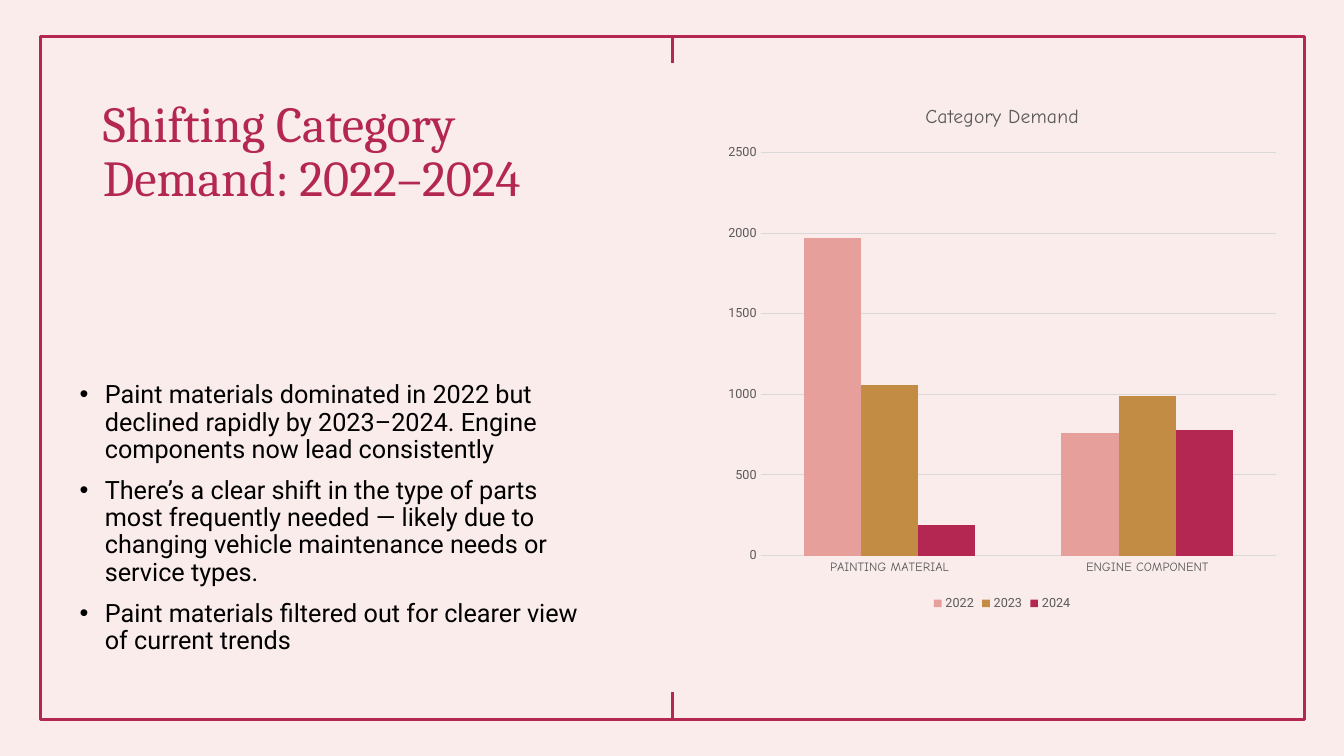
from dataclasses import dataclass

from lxml import etree
from pptx import Presentation
from pptx.chart.data import CategoryChartData
from pptx.dml.color import RGBColor
from pptx.enum.chart import XL_CHART_TYPE, XL_LEGEND_POSITION, XL_TICK_MARK
from pptx.enum.shapes import MSO_CONNECTOR, MSO_SHAPE
from pptx.enum.text import MSO_ANCHOR, MSO_AUTO_SIZE, PP_ALIGN
from pptx.oxml.ns import qn
from pptx.util import Inches, Pt

CLUSTERED = XL_CHART_TYPE.COLUMN_CLUSTERED
LEGEND_BOTTOM = XL_LEGEND_POSITION.BOTTOM
NO_TICKS = XL_TICK_MARK.NONE
STRAIGHT = MSO_CONNECTOR.STRAIGHT
RECTANGLE = MSO_SHAPE.RECTANGLE
TOP = MSO_ANCHOR.TOP
FIXED_SIZE = MSO_AUTO_SIZE.NONE
LEFT = PP_ALIGN.LEFT


@dataclass(frozen=True)
class Theme:
    background: str = "FAECEB"
    accent: str = "B32752"
    ink: str = "000000"
    muted: str = "595959"
    grid: str = "D9D9D9"
    series: tuple = ("E69F9A", "C38C44", "B32752")
    title_font: str = "Cambria"
    body_font: str = "Roboto"
    label_font: str = "Comic Neue"
    title_size: int = 36
    body_size: int = 18
    chart_title_size: int = 14
    chart_size: int = 10
    label_size: int = 9
    frame_weight: float = 2.25
    grid_weight: float = 0.75


THEME = Theme()

HEADLINE = "Shifting Category Demand: 2022–2024"
FINDINGS = (
    "Paint materials dominated in 2022 but declined rapidly by 2023–2024. "
    "Engine components now lead consistently",
    "There’s a clear shift in the type of parts most frequently needed — "
    "likely due to changing vehicle maintenance needs or service types.",
    "Paint materials filtered out for clearer view of current trends",
)
CATEGORIES = ("PAINTING MATERIAL", "ENGINE COMPONENT")
DEMAND = {"2022": (1970, 760), "2023": (1060, 990), "2024": (190, 780)}

FRAME_LEFT, FRAME_TOP, FRAME_WIDTH, FRAME_HEIGHT = 0.4, 0.36, 12.54, 6.78
NOTCH = 0.27


def rgb(code):
    return RGBColor.from_string(code)


def style_font(font, name, size, color):
    font.name = name
    font.size = Pt(size)
    font.color.rgb = rgb(color)
    font.bold = False


def style_line(line, color, weight):
    line.color.rgb = rgb(color)
    line.width = Pt(weight)


def add_frame(slide):
    frame = slide.shapes.add_shape(
        RECTANGLE, Inches(FRAME_LEFT), Inches(FRAME_TOP),
        Inches(FRAME_WIDTH), Inches(FRAME_HEIGHT))
    frame.shadow.inherit = False
    frame.fill.background()
    style_line(frame.line, THEME.accent, THEME.frame_weight)


def add_notch(slide, start, end):
    center = Inches(FRAME_LEFT + FRAME_WIDTH / 2)
    notch = slide.shapes.add_connector(
        STRAIGHT, center, Inches(start), center, Inches(end))
    style_line(notch.line, THEME.accent, THEME.frame_weight)
    etree.SubElement(notch._element.spPr, qn("a:effectLst"))


def place(holder, left, top, width, height):
    holder.left, holder.top = Inches(left), Inches(top)
    holder.width, holder.height = Inches(width), Inches(height)
    text = holder.text_frame
    text.word_wrap = True
    text.auto_size = FIXED_SIZE
    text.vertical_anchor = TOP
    return text


def fill_title(slide):
    text = place(slide.shapes.title, 0.92, 0.93, 5.3, 3.05)
    text.text = HEADLINE
    headline = text.paragraphs[0]
    headline.alignment = LEFT
    headline.line_spacing = 0.9
    style_font(headline.runs[0].font, THEME.title_font, THEME.title_size, THEME.accent)


def add_bullet(paragraph):
    properties = paragraph._p.get_or_add_pPr()
    properties.set("marL", str(Inches(0.25)))
    properties.set("indent", str(-Inches(0.25)))
    etree.SubElement(properties, qn("a:buFont")).set("typeface", "Arial")
    etree.SubElement(properties, qn("a:buChar")).set("char", "•")


def fill_findings(slide):
    text = place(slide.placeholders[1], 0.69, 3.74, 5.28, 2.94)
    text.text = "\n".join(FINDINGS)
    for finding in text.paragraphs:
        finding.alignment = LEFT
        finding.line_spacing = 0.9
        finding.space_before = Pt(10)
        add_bullet(finding)
        style_font(finding.runs[0].font, THEME.body_font, THEME.body_size, THEME.ink)


def style_axes(chart):
    categories, values = chart.category_axis, chart.value_axis
    for axis, font in ((categories, THEME.label_font), (values, THEME.body_font)):
        axis.major_tick_mark = NO_TICKS
        axis.minor_tick_mark = NO_TICKS
        style_font(axis.tick_labels.font, font, THEME.label_size, THEME.muted)
    style_line(categories.format.line, THEME.grid, THEME.grid_weight)
    values.format.line.fill.background()
    values.minimum_scale, values.maximum_scale, values.major_unit = 0, 2500, 500
    values.has_major_gridlines = True
    style_line(values.major_gridlines.format.line, THEME.grid, THEME.grid_weight)


def add_demand_chart(slide):
    demand = CategoryChartData()
    demand.categories = CATEGORIES
    for year, units in DEMAND.items():
        demand.add_series(year, units)
    chart = slide.shapes.add_chart(
        CLUSTERED, Inches(7.11), Inches(0.83), Inches(5.66), Inches(5.27), demand).chart
    style_font(chart.font, THEME.body_font, THEME.chart_size, THEME.ink)

    chart.has_title = True
    chart.chart_title.include_in_layout = False
    heading = chart.chart_title.text_frame
    heading.text = "Category Demand"
    style_font(heading.paragraphs[0].runs[0].font, THEME.label_font,
               THEME.chart_title_size, THEME.muted)

    chart.has_legend = True
    chart.legend.position = LEGEND_BOTTOM
    chart.legend.include_in_layout = False
    style_font(chart.legend.font, THEME.body_font, THEME.label_size, THEME.muted)

    style_axes(chart)
    plot = chart.plots[0]
    plot.gap_width = 150
    plot.overlap = 0
    plot.vary_by_categories = False
    for year, color in zip(plot.series, THEME.series):
        year.format.fill.solid()
        year.format.fill.fore_color.rgb = rgb(color)


def main():
    deck = Presentation()
    deck.slide_width, deck.slide_height = Inches(13.33), Inches(7.5)
    slide = deck.slides.add_slide(deck.slide_layouts[1])
    slide.background.fill.solid()
    slide.background.fill.fore_color.rgb = rgb(THEME.background)

    add_frame(slide)
    frame_bottom = FRAME_TOP + FRAME_HEIGHT
    add_notch(slide, frame_bottom, frame_bottom - NOTCH)
    add_notch(slide, FRAME_TOP + NOTCH, FRAME_TOP)
    fill_title(slide)
    fill_findings(slide)
    add_demand_chart(slide)
    deck.save("out.pptx")


if __name__ == "__main__":
    main()
